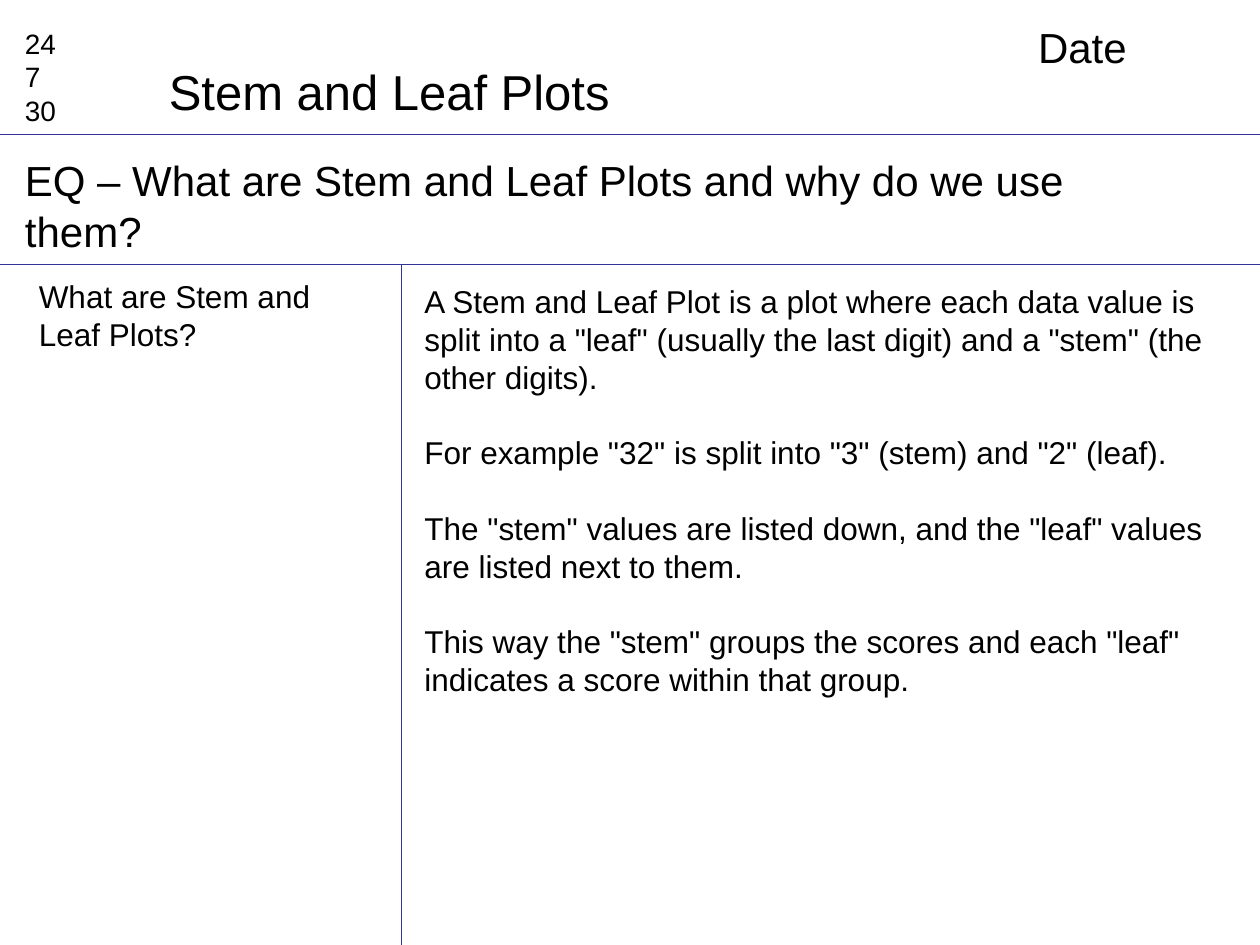
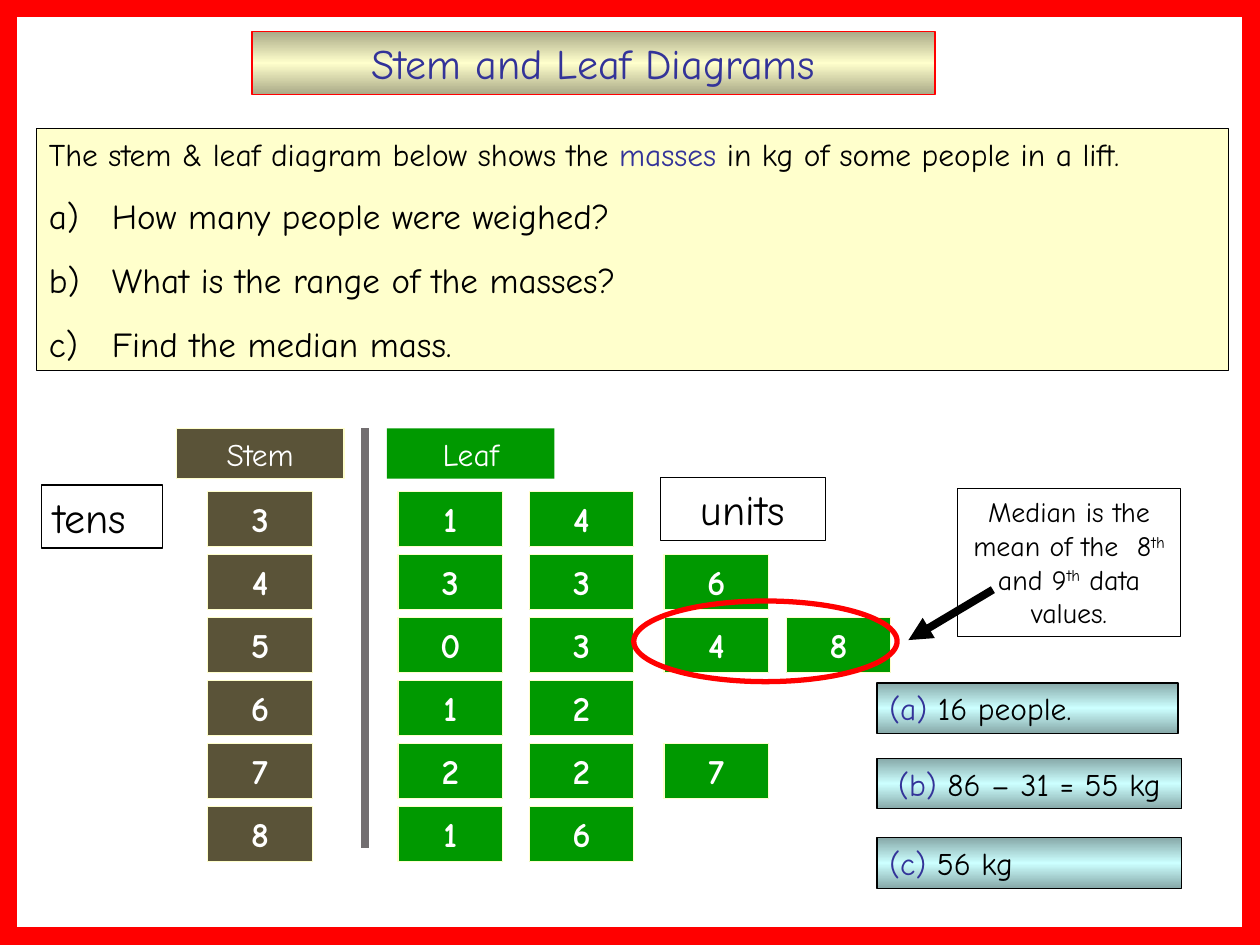
from copy import deepcopy
from dataclasses import dataclass

from lxml import etree
from pptx import Presentation
from pptx.dml.color import RGBColor
from pptx.enum.shapes import MSO_CONNECTOR as Connector, MSO_SHAPE as Shape
from pptx.enum.text import MSO_ANCHOR as Anchor, MSO_AUTO_SIZE as AutoSize, PP_ALIGN as Align
from pptx.oxml.ns import qn
from pptx.util import Inches, Pt


@dataclass(frozen=True)
class Theme:
    definition_font: str = "Arial"
    diagram_font: str = "Comic Neue"
    black: str = "000000"
    white: str = "FFFFFF"
    indigo: str = "333399"
    red: str = "FF0000"
    cream: str = "FFFFCC"
    olive: str = "A9A987"
    brown: str = "5A5338"
    green: str = "009900"
    grey: str = "726E70"
    aqua: str = "CCFFFF"
    teal: str = "87A9A9"
    heading: int = 28
    large: int = 24
    medium: int = 20
    body: int = 18
    small: int = 16


THEME = Theme()
TITLE_ONLY = 5


def rgb(color):
    return RGBColor.from_string(color)


def set_box(shape, box):
    shape.left, shape.top, shape.width, shape.height = map(Inches, box)


def write(shape, paragraphs, size, font, color=THEME.black, align=Align.LEFT, bold=False, gap=0):
    frame = shape.text_frame
    frame.word_wrap = True
    frame.auto_size = AutoSize.NONE
    frame.vertical_anchor = Anchor.TOP
    for index, content in enumerate(paragraphs):
        paragraph = frame.add_paragraph() if index else frame.paragraphs[0]
        paragraph.alignment = align
        paragraph.space_before = Pt(gap if index else 0)
        paragraph.font.size = Pt(size)
        paragraph.font.name = font
        paragraph.font.bold = bold
        if isinstance(content, str):
            paragraph.add_run().text = content
            paragraph.font.color.rgb = rgb(color)
            continue
        for text, run_color in content:
            run = paragraph.add_run()
            run.text = text
            run.font.color.rgb = rgb(run_color)


def set_fill(shape, fill):
    if fill is None:
        shape.fill.background()
    elif isinstance(fill, str):
        shape.fill.solid()
        shape.fill.fore_color.rgb = rgb(fill)
    else:
        edge, middle = fill
        shape.fill.gradient()
        shape.fill.gradient_angle = 90
        stop_list = shape._element.spPr.find(qn("a:gradFill")).find(qn("a:gsLst"))
        stop_list.insert(1, deepcopy(stop_list[0]))
        settings = zip(shape.fill.gradient_stops, (0, 0.5, 1), (edge, middle, edge))
        for stop, position, color in settings:
            stop.position = position
            stop.color.rgb = rgb(color)


def set_line(shape, color, width=0.75):
    if color is None:
        shape.line.fill.background()
    else:
        shape.line.color.rgb = rgb(color)
        shape.line.width = Pt(width)


def add_figure(slide, box, kind=Shape.RECTANGLE, fill=None, line=THEME.black, width=0.75):
    shape = slide.shapes.add_shape(kind, *map(Inches, box))
    shape.shadow.inherit = False
    set_fill(shape, fill)
    set_line(shape, line, width)
    return shape


def add_label(slide, box, paragraphs, size, fill=None, line=THEME.black, **style):
    shape = add_figure(slide, box, fill=fill, line=line)
    write(shape, paragraphs, size, THEME.diagram_font, **style)
    return shape


def add_entry(slide, box, paragraphs, size, gap=0):
    entry = slide.shapes.add_textbox(*map(Inches, box))
    write(entry, paragraphs, size, THEME.definition_font, gap=gap)


def add_rule(slide, start, end, color, width, arrow=False):
    rule = slide.shapes.add_connector(Connector.STRAIGHT, *map(Inches, (*start, *end)))
    set_line(rule, color, width)
    if arrow:
        etree.SubElement(rule.line._get_or_add_ln(), qn("a:tailEnd"), type="triangle")
    etree.SubElement(rule._element.spPr, qn("a:effectLst"))


def add_titled_slide(presentation, box, text, size, font, **style):
    slide = presentation.slides.add_slide(presentation.slide_layouts[TITLE_ONLY])
    title = slide.shapes.title
    set_box(title, box)
    write(title, [text], size, font, **style)
    return slide


def letter_questions(shape):
    for index, paragraph in enumerate(shape.text_frame.paragraphs):
        properties = paragraph._p.get_or_add_pPr()
        properties.set("marL", str(Inches(0.5)))
        properties.set("indent", str(-Inches(0.5)))
        if index:
            bullet = etree.Element(qn("a:buAutoNum"), type="alphaLcParenR")
            properties.find(qn("a:defRPr")).addprevious(bullet)
            paragraph.font.size = Pt(THEME.medium)


def add_stem_and_leaf(slide):
    add_rule(slide, (2.9, 3.4), (2.9, 6.73), THEME.grey, 4.5)
    for left, text, fill, line in ((1.4, "Stem", THEME.brown, THEME.cream),
                                   (3.07, "Leaf", THEME.green, None)):
        add_label(slide, (left, 3.4, 1.33, 0.4), [text], THEME.body, fill, line,
                  color=THEME.white, align=Align.CENTER)
    leaf_lefts = (3.16, 4.2, 5.27, 6.24)
    leaves_by_stem = {"3": "14", "4": "336", "5": "0348", "6": "12", "7": "227", "8": "16"}
    for row, (stem, leaves) in enumerate(leaves_by_stem.items()):
        cells = [(1.65, stem, THEME.brown)]
        cells += [(left, leaf, THEME.green) for left, leaf in zip(leaf_lefts, leaves)]
        for left, digit, fill in cells:
            add_label(slide, (left, 3.9 + 0.5 * row, 0.83, 0.44), [digit], THEME.medium, fill,
                      THEME.cream, color=THEME.white, align=Align.CENTER, bold=True)
    add_label(slide, (0.33, 3.85, 0.96, 0.5), ["tens"], THEME.large)
    add_label(slide, (5.24, 3.79, 1.31, 0.5), ["units"], THEME.large, align=Align.CENTER)


def add_median_callout(slide):
    add_figure(slide, (5.03, 4.77, 2.09, 0.64), Shape.OVAL, line=THEME.red, width=3)
    add_rule(slide, (7.88, 4.68), (7.21, 5.08), THEME.black, 4.5, arrow=True)
    pieces = ("Median is the mean of the  8", "th", " and 9", "th", " data values.")
    callout = add_label(slide, (7.6, 3.88, 1.77, 1.17),
                        [[(piece, THEME.black) for piece in pieces]],
                        THEME.small, align=Align.CENTER)
    for run in callout.text_frame.paragraphs[0].runs:
        if run.text == "th":
            run.font._element.set("baseline", "30000")


def add_answers(slide):
    answers = (
        (5.42, 2.39, "(a)", " 16 people.", Align.LEFT),
        (6.02, 2.42, "(b)", " 86 – 31 = 55 kg", Align.CENTER),
        (6.65, 2.42, "(c)", " 56 kg", Align.LEFT),
    )
    for top, width, letter, answer, align in answers:
        add_label(slide, (6.96, top, width, 0.4),
                  [[(letter, THEME.indigo), (answer, THEME.black)]],
                  THEME.body, (THEME.teal, THEME.aqua), align=align)


def build_definition_slide(presentation):
    slide = add_titled_slide(presentation, (1.24, 0.44, 4.5, 0.57), "Stem and Leaf Plots",
                             THEME.heading, THEME.definition_font)
    for start, end in (((0, 1.07), (10, 1.07)), ((0, 2.1), (10, 2.1)), ((3.19, 2.1), (3.19, 7.5))):
        add_rule(slide, start, end, THEME.indigo, 0.5)
    add_entry(slide, (0.1, 0.16, 0.63, 0.9), ["24", "7", "30"], THEME.small)
    add_entry(slide, (8.14, 0.12, 1.73, 0.5), ["Date"], THEME.large)
    add_entry(slide, (0.1, 1.18, 9.43, 0.9),
              ["EQ – What are Stem and Leaf Plots and why do we use them?"], THEME.large)
    add_entry(slide, (0.21, 2.15, 2.6, 0.7), ["What are Stem and", "Leaf Plots?"], THEME.body)
    add_entry(slide, (3.27, 2.19, 6.44, 3.4), [
        'A Stem and Leaf Plot is a plot where each data value is split into a "leaf" '
        '(usually the last digit) and a "stem" (the other digits).',
        'For example "32" is split into "3" (stem) and "2" (leaf).',
        'The "stem" values are listed down, and the "leaf" values are listed next to them.',
        'This way the "stem" groups the scores and each "leaf" indicates a score '
        'within that group.',
    ], THEME.body, gap=21.6)


def build_diagram_slide(presentation):
    slide = add_titled_slide(presentation, (2, 0.25, 5.42, 0.5), "Stem and Leaf Diagrams",
                             THEME.large, THEME.diagram_font, color=THEME.indigo,
                             align=Align.CENTER)
    set_fill(slide.shapes.title, (THEME.olive, THEME.cream))
    set_line(slide.shapes.title, THEME.red)
    questions = add_label(slide, (0.29, 1.02, 9.46, 1.92), [
        [("The stem & leaf diagram below shows the ", THEME.black), ("masses", THEME.indigo),
         (" in kg of some people in a lift.", THEME.black)],
        "How many people were weighed?",
        "What is the range of the masses?",
        "Find the median mass.",
    ], THEME.body, THEME.cream, gap=12.5)
    letter_questions(questions)
    add_stem_and_leaf(slide)
    add_median_callout(slide)
    add_answers(slide)
    add_figure(slide, (0, 0, 10, 7.5), line=THEME.red, width=20)


def main():
    presentation = Presentation()
    presentation.slide_width = Inches(10)
    presentation.slide_height = Inches(7.5)
    build_definition_slide(presentation)
    build_diagram_slide(presentation)
    presentation.save("out.pptx")


if __name__ == "__main__":
    main()
